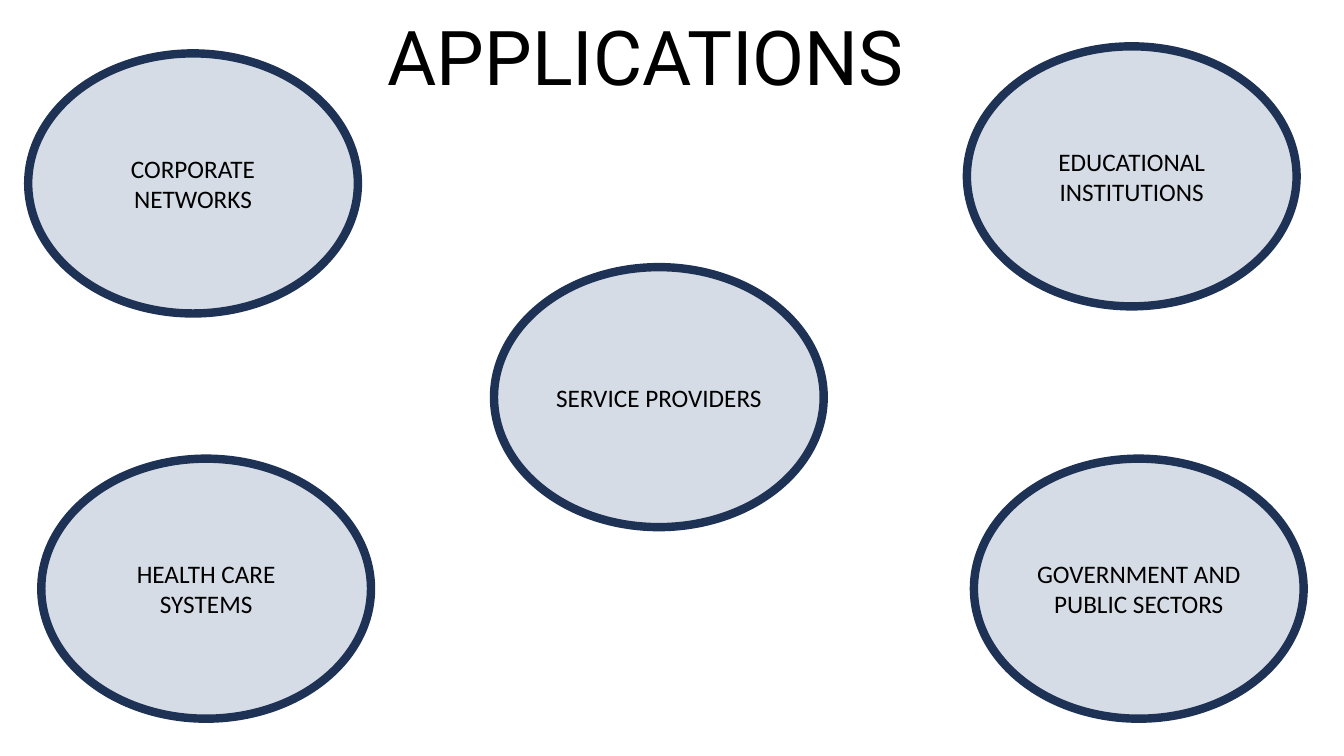
"""Build the applications slide: a title and five labelled ellipses."""
from pptx import Presentation
from pptx.dml.color import RGBColor
from pptx.enum import shapes, text
from pptx.util import Inches, Pt

TITLE = "APPLICATIONS"
TITLE_BOX = (2.49, 0, 7.83, 1.06)
APPLICATIONS = [
    ("CORPORATE NETWORKS", 0.28, 0.53),
    ("SERVICE PROVIDERS", 4.9, 2.65),
    ("EDUCATIONAL INSTITUTIONS", 9.59, 0.46),
    ("HEALTH CARE SYSTEMS", 0.41, 4.55),
    ("GOVERNMENT AND PUBLIC SECTORS", 9.66, 4.55),
]
ELLIPSE_SIZE = (3.27, 2.58)
FILL, OUTLINE, INK = "D6DCE5", "1E3256", "000000"
TITLE_FONT = {"name": "Roboto", "size": Pt(54), "bold": False}
LABEL_FONT = {"name": "Calibri", "size": Pt(18), "bold": False}


def color(target, value):
    target.rgb = RGBColor.from_string(value)


def write(sp, words, font, anchor):
    tf = sp.text_frame
    tf.word_wrap = True
    tf.auto_size = text.MSO_AUTO_SIZE.NONE
    tf.vertical_anchor = anchor
    p = tf.paragraphs[0]
    p.alignment = text.PP_ALIGN.CENTER
    r = p.add_run()
    r.text = words
    for key, value in font.items():
        setattr(r.font, key, value)
    color(r.font.color, INK)
    return p


def add_title(s):
    sp = s.shapes.title
    for side, value in zip(("left", "top", "width", "height"), TITLE_BOX):
        setattr(sp, side, Inches(value))
    p = write(sp, TITLE, TITLE_FONT, text.MSO_ANCHOR.BOTTOM)
    p.line_spacing = 0.9


def add_application(s, label, left, top):
    box = [Inches(v) for v in (left, top, *ELLIPSE_SIZE)]
    sp = s.shapes.add_shape(shapes.MSO_SHAPE.OVAL, *box)
    sp.shadow.inherit = False
    sp.fill.solid()
    color(sp.fill.fore_color, FILL)
    color(sp.line.color, OUTLINE)
    sp.line.width = Pt(6)
    write(sp, label, LABEL_FONT, text.MSO_ANCHOR.MIDDLE)


def main():
    prs = Presentation()
    prs.slide_width, prs.slide_height = Inches(13.33), Inches(7.5)
    s = prs.slides.add_slide(prs.slide_layouts[5])
    add_title(s)
    for application in APPLICATIONS:
        add_application(s, *application)
    prs.save("out.pptx")


if __name__ == "__main__":
    main()
